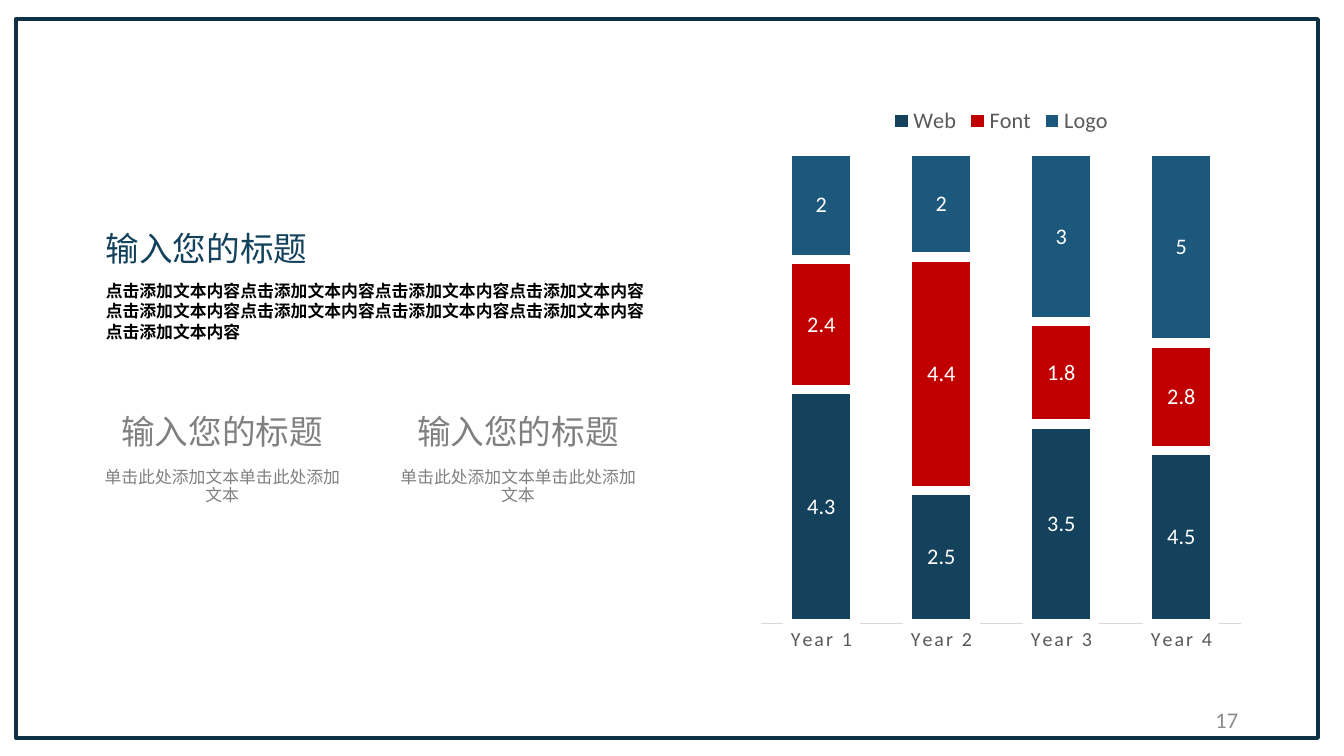
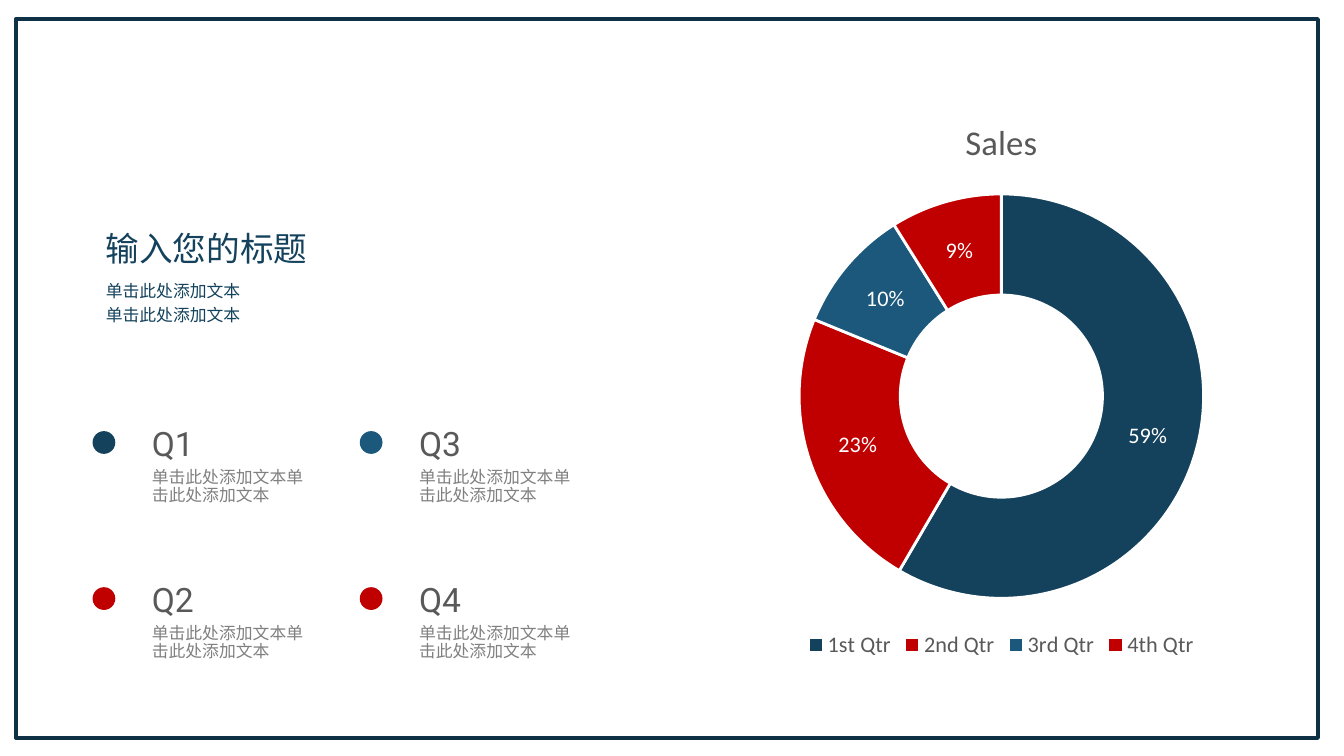
import pptx
import pptx.chart.data
import pptx.dml.color
import pptx.enum.chart
import pptx.enum.shapes
import pptx.enum.text
import pptx.util

Cm = pptx.util.Cm
Pt = pptx.util.Pt
Align = pptx.enum.text.PP_ALIGN
ChartType = pptx.enum.chart.XL_CHART_TYPE
LegendPosition = pptx.enum.chart.XL_LEGEND_POSITION

COLORS = {
    "navy": "14425D",
    "red": "C00000",
    "blue": "1B587C",
    "frame": "0F3145",
    "black": "000000",
    "white": "FFFFFF",
    "dark_gray": "595959",
    "gray": "808080",
    "number_gray": "8C8C8C",
    "axis": "D9D9D9",
}
LEFT = 1.75
BODY_WIDTH = 10.95
TITLE = "输入您的标题"
PROMPT = "单击此处添加文本"
CHART_AREA = (14.2, 1.75, 9.45, 10.8)
CAPTION_INSETS = (0.18, 0.1)
BODY_INSETS = (0.25, 0.13)


def rgb(name):
    return pptx.dml.color.RGBColor.from_string(COLORS[name])


def style_font(font, size, color, face="Calibri", bold=False):
    font.size = Pt(size)
    font.name = face
    font.bold = bold
    font.color.rgb = rgb(color)


def paint(fill, color):
    fill.solid()
    fill.fore_color.rgb = rgb(color)


def outline(line, color, width):
    paint(line.fill, color)
    line.width = Pt(width)


def add_text(page, area, lines, size, color, face="Calibri", bold=False, align=Align.LEFT,
             spacing=None, insets=BODY_INSETS, gap=0, anchor=pptx.enum.text.MSO_ANCHOR.TOP):
    box = page.shapes.add_textbox(*map(Cm, area))
    frame = box.text_frame
    frame.word_wrap = True
    frame.vertical_anchor = anchor
    frame.margin_left = frame.margin_right = Cm(insets[0])
    frame.margin_top = frame.margin_bottom = Cm(insets[1])
    for index, line in enumerate(lines):
        para = frame.add_paragraph() if index else frame.paragraphs[0]
        para.text = line
        para.alignment = align
        para.line_spacing = spacing
        if index:
            para.space_before = Pt(gap)
        style_font(para.font, size, color, face, bold)


def add_frame(page):
    box = page.shapes.add_shape(pptx.enum.shapes.MSO_SHAPE.RECTANGLE,
                                Cm(0.3), Cm(0.36), Cm(24.61), Cm(13.59))
    box.shadow.inherit = False
    box.fill.background()
    outline(box.line, "frame", 2)


def add_dot(page, left, top, color):
    dot = page.shapes.add_shape(pptx.enum.shapes.MSO_SHAPE.OVAL,
                                Cm(left), Cm(top), Cm(0.43), Cm(0.43))
    dot.shadow.inherit = False
    paint(dot.fill, color)
    dot.line.fill.background()


def add_heading(page):
    add_text(page, (LEFT, 4.17, BODY_WIDTH, 0.99), [TITLE], 18, "navy")


def add_caption(page, left, top, width, heading, heading_height, text_height, color, align):
    style = dict(face="Roboto", align=align, spacing=0.9, insets=CAPTION_INSETS)
    add_text(page, (left, top, width, heading_height), [heading], 18, color, **style)
    style["face"] = "Lato"
    text_top = top + heading_height + 0.02
    add_text(page, (left, text_top, width, text_height), [PROMPT * 2], 9, "gray", **style)


def add_chart(page, kind, categories, series, legend_position):
    data = pptx.chart.data.CategoryChartData()
    data.categories = categories
    for name, values in series:
        data.add_series(name, values)
    chart = page.shapes.add_chart(kind, *map(Cm, CHART_AREA), data).chart
    style_font(chart.font, 10, "black")
    chart.has_title = False
    chart.has_legend = True
    chart.legend.position = legend_position
    chart.legend.include_in_layout = False
    style_font(chart.legend.font, 11.9, "dark_gray")
    return chart


def add_labels(series):
    labels = series.data_labels
    labels.show_value = True
    style_font(labels.font, 11.9, "white")
    return labels


def add_year_chart(page):
    series = [
        ("Web", (4.3, 2.5, 3.5, 4.5)),
        ("Font", (2.4, 4.4, 1.8, 2.8)),
        ("Logo", (2, 2, 3, 5)),
    ]
    years = [f"Year {number}" for number in range(1, 5)]
    chart = add_chart(page, ChartType.COLUMN_STACKED_100, years, series, LegendPosition.TOP)
    plot = chart.plots[0]
    plot.gap_width = 79
    plot.overlap = 100
    for bars, color in zip(plot.series, ("navy", "red", "blue")):
        paint(bars.format.fill, color)
        outline(bars.format.line, "white", 5)
        add_labels(bars).position = pptx.enum.chart.XL_LABEL_POSITION.CENTER
    chart.value_axis.visible = False
    chart.value_axis.has_major_gridlines = False
    axis = chart.category_axis
    axis.major_tick_mark = pptx.enum.chart.XL_TICK_MARK.NONE
    outline(axis.format.line, "axis", 0.75)
    axis_font = axis.tick_labels.font
    style_font(axis_font, 10.7, "dark_gray")
    for properties in axis._element.iter("{*}defRPr"):
        properties.set("spc", "120")


def add_sales_chart(page):
    quarters = ["1st Qtr", "2nd Qtr", "3rd Qtr", "4th Qtr"]
    chart = add_chart(page, ChartType.DOUGHNUT, quarters, [("Sales", (59, 23, 10, 9))],
                      LegendPosition.BOTTOM)
    chart.has_title = True
    title = chart.chart_title.text_frame.paragraphs[0]
    title.text = "Sales"
    style_font(title.font, 18.6, "dark_gray")
    ring = chart.plots[0].series[0]
    for index, color in enumerate(("navy", "red", "blue", "red")):
        part = ring.points[index].format
        paint(part.fill, color)
        outline(part.line, "white", 1.5)
    labels = add_labels(ring)
    labels.number_format = '0"%"'
    labels.number_format_is_linked = False
    for hole in chart._chartSpace.iter("{*}holeSize"):
        hole.set("val", "75")


def build_year_page(page):
    add_year_chart(page)
    add_heading(page)
    add_text(page, (LEFT, 5.18, BODY_WIDTH, 4.55), ["点击添加文本内容" * 9], 9, "black", "Lato", True)
    for column in range(2):
        add_caption(page, LEFT + 5.59 * column, 7.75, 4.9, TITLE, 0.99, 1.96, "gray", Align.CENTER)
    add_text(page, (17.93, 13.23, 5.72, 0.76), ["17"], 12, "number_gray", align=Align.RIGHT,
             anchor=pptx.enum.text.MSO_ANCHOR.MIDDLE)
    add_frame(page)


def build_sales_page(page):
    add_sales_chart(page)
    add_heading(page)
    add_text(page, (LEFT, 5.18, BODY_WIDTH, 1.96), [PROMPT] * 2, 9, "navy", "Lato", gap=1.8)
    for index, color in enumerate(("navy", "red", "blue", "red")):
        column, row = divmod(index, 2)
        left = LEFT + 5.05 * column
        top = 7.98 + 2.95 * row
        add_caption(page, left + 0.94, top, 3.53, f"Q{index + 1}", 0.76, 1.4,
                    "dark_gray", Align.LEFT)
        add_dot(page, left, top + 0.17, color)
    add_frame(page)


def main():
    deck = pptx.Presentation()
    deck.slide_width = Cm(25.4)
    deck.slide_height = Cm(14.29)
    for build in (build_year_page, build_sales_page):
        build(deck.slides.add_slide(deck.slide_layouts[6]))
    deck.save("out.pptx")


if __name__ == "__main__":
    main()
